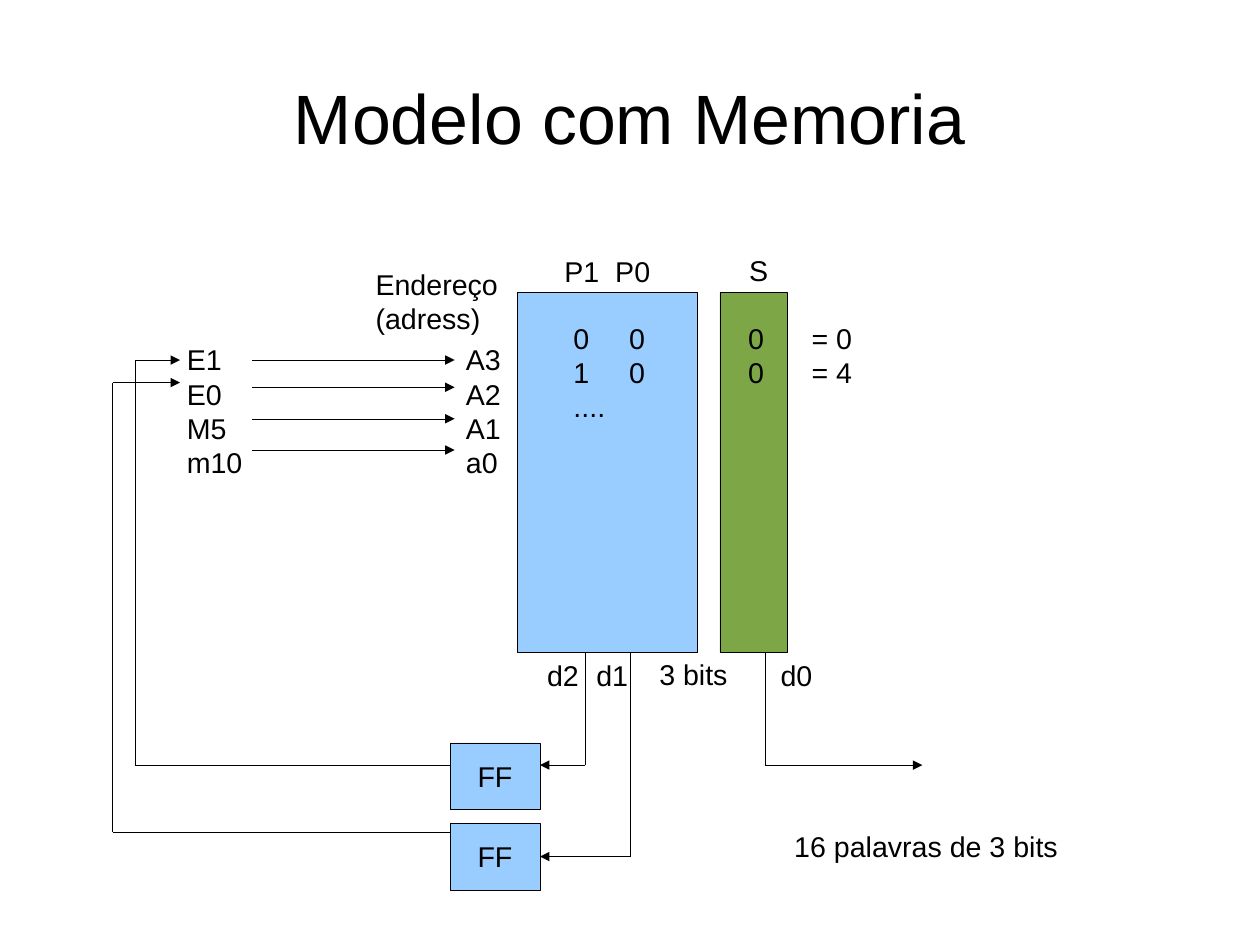
"""Build the slide showing a state machine modelled with a memory."""
import pptx
import pptx.dml.color
import pptx.enum.shapes
import pptx.enum.text
import pptx.oxml
import pptx.oxml.ns
import pptx.util

Pt = pptx.util.Pt
BLACK = pptx.dml.color.RGBColor(0x00, 0x00, 0x00)
BLUE = pptx.dml.color.RGBColor(0x99, 0xCC, 0xFF)
GREEN = pptx.dml.color.RGBColor(0x7D, 0xA6, 0x47)
CENTER = pptx.enum.text.PP_ALIGN.CENTER
MIDDLE = pptx.enum.text.MSO_ANCHOR.MIDDLE
RECT = pptx.enum.shapes.MSO_SHAPE.RECTANGLE
STRAIGHT = pptx.enum.shapes.MSO_CONNECTOR.STRAIGHT
NS = pptx.oxml.ns.nsdecls("a")
HAIRLINE = Pt(0.1)


def write(tf, lines, size=18, align=None, tabs=()):
    for i, line in enumerate(lines):
        p = tf.paragraphs[0] if i == 0 else tf.add_paragraph()
        p.text = line
        p.alignment = align
        if tabs:
            stops = "".join(f'<a:tab pos="{Pt(t)}" algn="l"/>' for t in tabs)
            p._p.get_or_add_pPr().append(
                pptx.oxml.parse_xml(f"<a:tabLst {NS}>{stops}</a:tabLst>"))
        for r in p.runs:
            for name, value in {"name": "Arial", "size": Pt(size)}.items():
                setattr(r.font, name, value)
            r.font.color.rgb = BLACK


def connect(s, x1, y1, x2, y2, arrow):
    c = s.shapes.add_connector(STRAIGHT, Pt(x1), Pt(y1), Pt(x2), Pt(y2))
    c.line.color.rgb = BLACK
    c.line.width = HAIRLINE
    if arrow:
        c.line._get_or_add_ln().append(
            pptx.oxml.parse_xml(f'<a:tailEnd {NS} type="triangle"/>'))
    c._element.spPr.append(pptx.oxml.parse_xml(f"<a:effectLst {NS}/>"))
    return c


prs = pptx.Presentation()
prs.slide_width, prs.slide_height = Pt(793.7), Pt(595.3)
s = prs.slides.add_slide(prs.slide_layouts[6])

title = s.shapes.add_textbox(Pt(39.7), Pt(27.4), Pt(714.2), Pt(92.2))
tf = title.text_frame
for name, value in {"word_wrap": True, "vertical_anchor": MIDDLE,
                    "margin_left": 0, "margin_right": 0,
                    "margin_top": 0, "margin_bottom": 0}.items():
    setattr(tf, name, value)
write(tf, ["Modelo com Memoria"], 44, CENTER)

boxes = []
for x, y, w, h, fill, lines in [
    (326, 184.3, 113.4, 226.8, BLUE, []),
    (453.5, 184.3, 42.5, 226.8, GREEN, []),
    (283.5, 468, 56.7, 42, BLUE, ["FF"]),
    (283.5, 518.6, 56.7, 42, BLUE, ["FF"]),
]:
    sp = s.shapes.add_shape(RECT, Pt(x), Pt(y), Pt(w), Pt(h))
    sp.shadow.inherit = False
    sp.fill.solid()
    sp.fill.fore_color.rgb = fill
    sp.line.color.rgb = BLACK
    sp.line.width = HAIRLINE
    sp.text_frame.vertical_anchor = MIDDLE
    write(sp.text_frame, lines, align=CENTER)
    boxes.append(sp)

for y in (226.8, 244, 263.8, 283.5):
    connect(s, 158.7, y, 286.4, y, True)

routes = {
    "d2": [(368.5, 411.1), (368.5, 482), (340.2, 482)],
    "d1": [(396.9, 411.1), (396.9, 539.6), (340.2, 539.6)],
    "d0": [(481.9, 411.1), (481.9, 482), (581, 482)],
    "E1": [(283.5, 482), (85, 482), (85, 226.8), (113.4, 226.8)],
    "E0": [(283.5, 524.4), (70.9, 524.4), (70.9, 241), (113.4, 241)],
}
for signal, points in routes.items():
    for start, end in zip(points, points[1:]):
        c = connect(s, *start, *end, end == points[-1])
    if signal == "d1":
        c.end_connect(boxes[3], 3)

for x, y, w, h, lines, tabs in [
    (348.5, 156.6, 80, 27.4, ["P1\tP0"], [32]),
    (464.8, 156, 30, 27.4, ["S"], []),
    (408.2, 410.6, 62, 27.4, ["3 bits"], []),
    (110.6, 212, 56, 87.8, ["E1", "E0", "M5", "m10"], []),
    (286.4, 212, 42, 87.8, ["A3", "A2", "A1", "a0"], []),
    (493.2, 518.4, 190, 27.4, ["16 palavras de 3 bits"], []),
    (354.2, 198.6, 200, 67.7, ["0\t0\t0\t= 0", "1\t0\t0\t= 4", "...."],
     [35, 110, 150]),
    (229.5, 164.5, 96, 47.5, ["Endereço", "(adress)"], []),
    (368.5, 411.1, 38, 27.4, ["d1"], []),
    (337.5, 411.1, 38, 27.4, ["d2"], []),
    (484.6, 411.1, 38, 27.4, ["d0"], []),
]:
    tf = s.shapes.add_textbox(Pt(x), Pt(y), Pt(w), Pt(h)).text_frame
    tf.word_wrap = True
    write(tf, lines, tabs=tabs)

prs.save("out.pptx")
